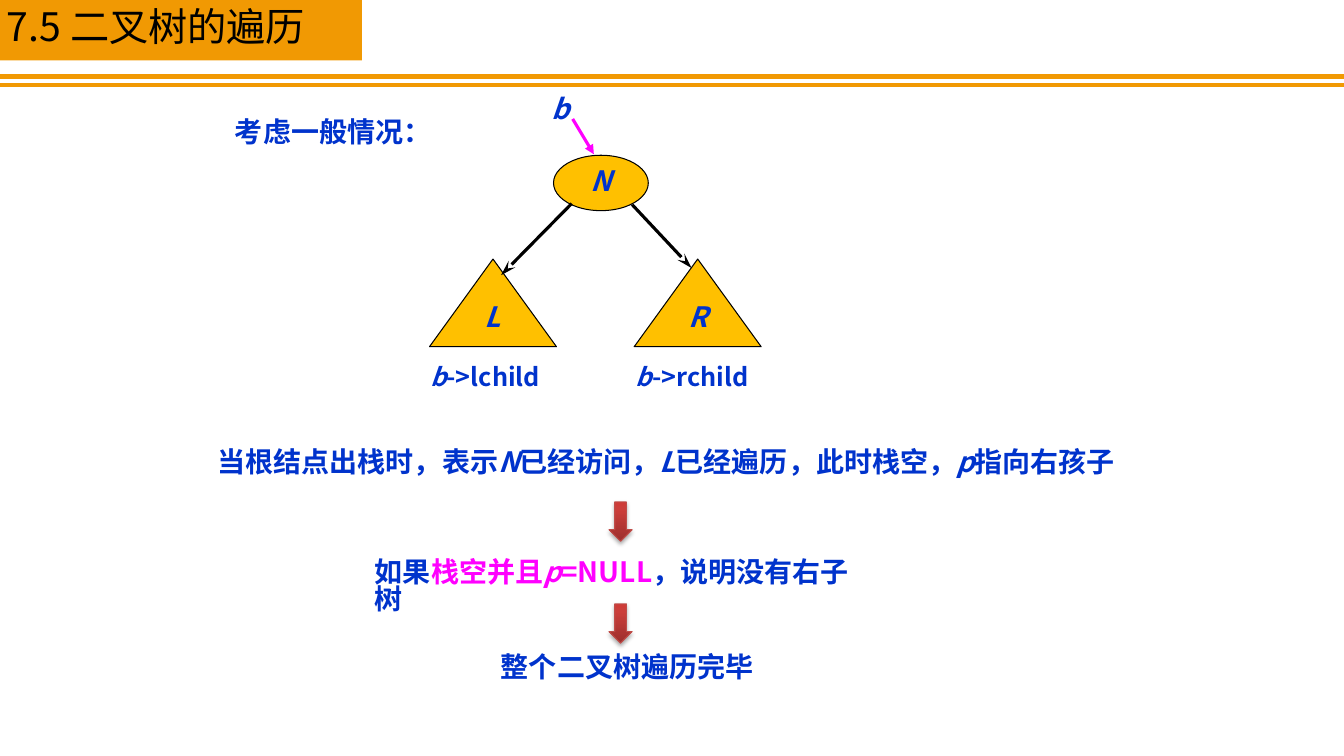
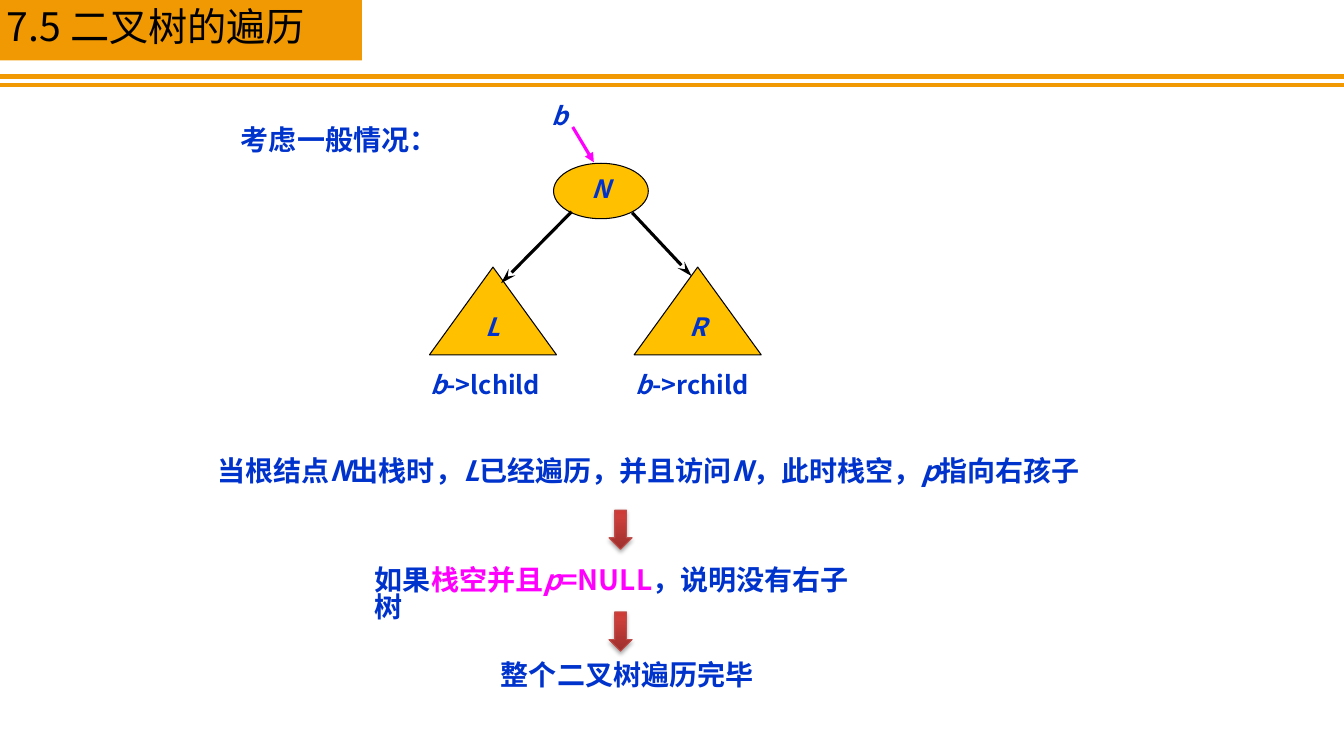
from lxml import etree
from pptx import Presentation
from pptx.dml.color import RGBColor
from pptx.enum.shapes import MSO_CONNECTOR, MSO_SHAPE
from pptx.enum.text import MSO_ANCHOR, MSO_AUTO_SIZE, PP_ALIGN
from pptx.oxml import parse_xml
from pptx.oxml.ns import nsdecls, qn
from pptx.util import Pt

PX = 9144  # EMU per px, 100 px to the inch
FONT = "Noto Sans CJK SC"
COLORS = {
    "band": "F19903",
    "node": "FFC000",
    "text": "0033CC",
    "accent": "FF00FF",
    "black": "000000",
    "arrow_edge": "BF4C48",
}
ARROW_STOPS = [(0, "9C2F2D"), (80, "CB3E3A"), (100, "CE3B37")]

# Run styles: (colour, italic)
PLAIN = ("text", False)
VAR = ("text", True)
HOT = ("accent", False)
HOT_VAR = ("accent", True)


def rgb(name):
    return RGBColor.from_string(COLORS[name])


def emu(*lengths):
    return [length * PX for length in lengths]


def write(tf, runs, size, bold=True, align=PP_ALIGN.LEFT, spacing=0.8):
    """Fill the first paragraph with (text, style) runs."""
    p = tf.paragraphs[0]
    p.alignment = align
    p.line_spacing = spacing
    p.space_before = Pt(0)
    for text, (color, italic) in runs:
        r = p.add_run()
        r.text = text
        r.font.size = Pt(size)
        r.font.bold = bold
        r.font.italic = italic
        r.font.color.rgb = rgb(color)
        r.font.name = FONT
        ea = etree.SubElement(r.font._element, qn("a:ea"))
        ea.set("typeface", FONT)


def add_text(shapes, box, runs, size=20, **style):
    tf = shapes.add_textbox(*emu(*box)).text_frame
    tf.word_wrap = True
    tf.auto_size = MSO_AUTO_SIZE.SHAPE_TO_FIT_TEXT
    write(tf, runs, size, **style)


def add_line(shapes, start, end, color, width, head=None, length="med"):
    line = shapes.add_connector(MSO_CONNECTOR.STRAIGHT, *emu(*start, *end))
    line.line.color.rgb = rgb(color)
    line.line.width = Pt(width)
    if head:
        tail = etree.SubElement(line.line._get_or_add_ln(), qn("a:tailEnd"))
        tail.set("type", head)
        tail.set("len", length)
    etree.SubElement(line._element.spPr, qn("a:effectLst"))


def add_node(shapes, kind, box, label, size, spacing):
    sp = shapes.add_shape(kind, *emu(*box))
    sp.shadow.inherit = False
    sp.fill.solid()
    sp.fill.fore_color.rgb = rgb("node")
    sp.line.color.rgb = rgb("black")
    sp.line.width = Pt(0.75)
    tf = sp.text_frame
    tf.word_wrap = False
    tf.vertical_anchor = MSO_ANCHOR.MIDDLE
    write(tf, [(label, VAR)], size, align=PP_ALIGN.CENTER, spacing=spacing)


def add_down_arrow(shapes, top):
    sp = shapes.add_shape(MSO_SHAPE.DOWN_ARROW, *emu(604, top, 23, 39))
    sp.line.color.rgb = rgb("arrow_edge")
    sp.line.width = Pt(0.75)
    # Gradient fill and soft shadow
    stops = "".join(
        f'<a:gs pos="{pos * 1000}"><a:srgbClr val="{color}"/></a:gs>'
        for pos, color in ARROW_STOPS
    )
    spPr = sp._element.spPr
    spPr.find(qn("a:prstGeom")).addnext(parse_xml(
        f'<a:gradFill {nsdecls("a")} rotWithShape="1"><a:gsLst>{stops}</a:gsLst>'
        '<a:lin ang="16200000" scaled="0"/></a:gradFill>'
    ))
    spPr.append(parse_xml(
        f'<a:effectLst {nsdecls("a")}>'
        f'<a:outerShdw blurRad="{Pt(3.1)}" dist="{Pt(1.8)}" dir="5400000" rotWithShape="0">'
        f'<a:srgbClr val="{COLORS["black"]}"><a:alpha val="35000"/></a:srgbClr>'
        '</a:outerShdw></a:effectLst>'
    ))


def add_header(shapes):
    band = shapes.add_shape(MSO_SHAPE.RECTANGLE, *emu(-3, 0, 362, 60))
    band.shadow.inherit = False
    band.fill.solid()
    band.fill.fore_color.rgb = rgb("band")
    band.line.fill.background()
    title = [("7.5 二叉树的遍历", ("black", False))]
    add_text(shapes, (-3, 6, 338, 48), title, 28, bold=False)
    for y in (76, 84):
        add_line(shapes, (0, y), (1333, y), "band", 3)


def add_tree(shapes, dy, size):
    """Root N with subtrees L and R, pointed to by b."""
    tree = shapes.add_group_shape().shapes
    add_line(tree, (568, 118 + dy), (589, 153 + dy), "accent", 2.25, "triangle")
    add_text(tree, (537, 92 + dy, 32, 37), [("b", VAR)], size)
    add_node(tree, MSO_SHAPE.OVAL, (549, 154 + dy, 94, 55), "N", size, 0.8)
    subtrees = [
        ("L", 426, 417, 152, "->lchild", (567, 202), (497, 273)),
        ("R", 629, 621, 166, "->rchild", (627, 203), (686, 266)),
    ]
    for label, left, text_left, width, field, (x1, y1), (x2, y2) in subtrees:
        add_node(tree, MSO_SHAPE.ISOSCELES_TRIANGLE, (left, 257 + dy, 126, 87),
                 label, size, Pt(12))
        add_text(tree, (text_left, 359 + dy, width, 34),
                 [("b", VAR), (field, PLAIN)], 18)
        add_line(tree, (x1, y1 + dy), (x2, y2 + dy), "black", 2.25, "stealth", "lg")


def add_case_slide(prs, dy, node_size, intro_width, state):
    shapes = prs.slides.add_slide(prs.slide_layouts[6]).shapes
    add_header(shapes)
    add_tree(shapes, dy, node_size)
    add_text(shapes, (221, 115 + dy, intro_width, 37),
             [("考虑一般情况：", PLAIN)], align=PP_ALIGN.CENTER)
    # Reasoning steps, joined by arrows
    condition = [("如果", PLAIN), ("栈空并且", HOT), ("p", HOT_VAR),
                 ("=NULL", HOT), ("，说明没有右子树", PLAIN)]
    add_text(shapes, (206, 443 + dy, 922, 37), state)
    add_down_arrow(shapes, 498 + dy)
    add_text(shapes, (362, 552 + dy, 516, 64), condition)
    add_down_arrow(shapes, 599 + dy)
    add_text(shapes, (487, 646 + dy, 281, 37), [("整个二叉树遍历完毕", PLAIN)])


def main():
    prs = Presentation()
    prs.slide_width, prs.slide_height = emu(1333, 750)
    add_case_slide(prs, 0, 20, 219, [
        ("当根结点出栈时，表示", PLAIN), ("N", VAR), ("已经访问，", PLAIN),
        ("L", VAR), ("已经遍历，此时栈空，", PLAIN), ("p", VAR),
        ("指向右孩子", PLAIN),
    ])
    add_case_slide(prs, 8, 18, 203, [
        ("当根结点", PLAIN), ("N", VAR), ("出栈时，", PLAIN), ("L", VAR),
        ("已经遍历，并且访问", PLAIN), ("N", VAR), ("，此时栈空，", PLAIN),
        ("p", VAR), ("指向右孩子", PLAIN),
    ])
    prs.save("out.pptx")


if __name__ == "__main__":
    main()
